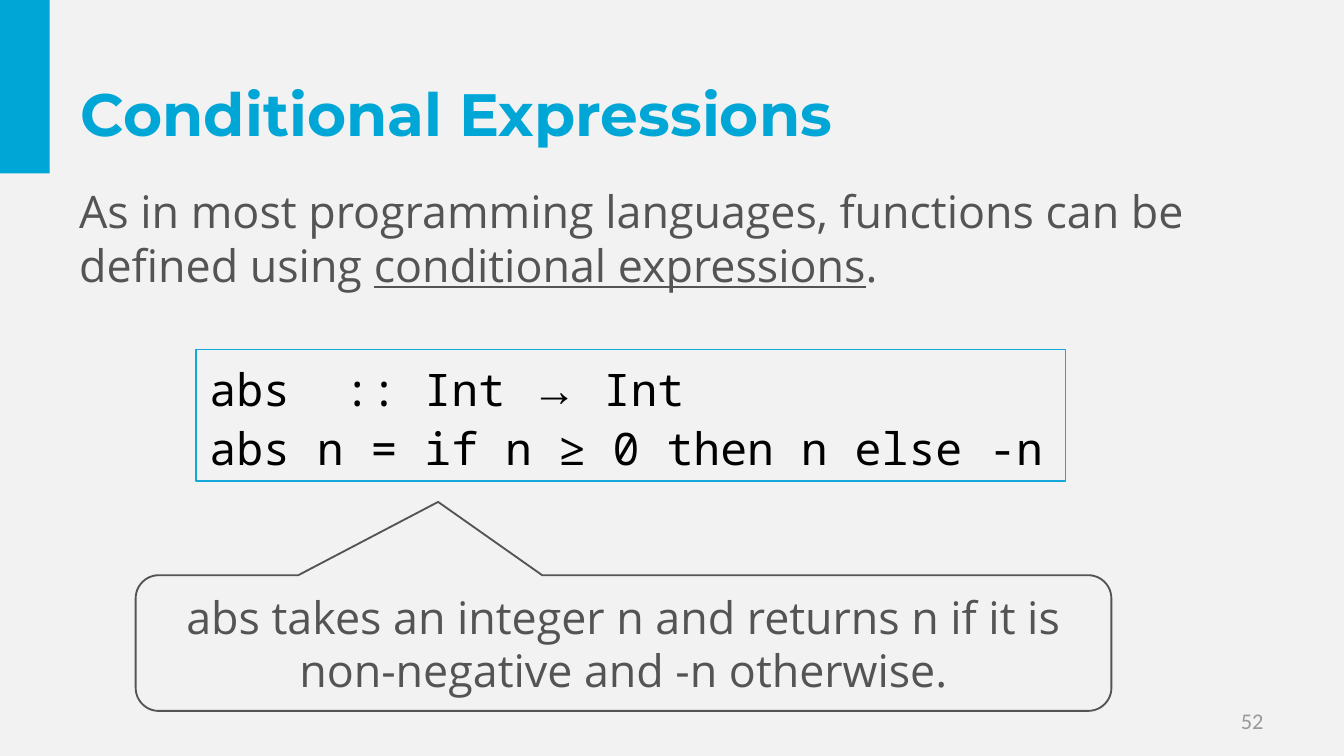
"""Build the Conditional Expressions slide."""
from pptx import Presentation
from pptx.dml.color import RGBColor
from pptx.enum.shapes import MSO_SHAPE
from pptx.enum.text import MSO_ANCHOR, PP_ALIGN
from pptx.util import Inches, Pt

RECTANGLE = MSO_SHAPE.RECTANGLE
CALLOUT = MSO_SHAPE.ROUNDED_RECTANGULAR_CALLOUT
MIDDLE = MSO_ANCHOR.MIDDLE
LEFT, CENTER, RIGHT = PP_ALIGN.LEFT, PP_ALIGN.CENTER, PP_ALIGN.RIGHT

COLORS = {"background": "F2F2F2", "accent": "00A6D6", "border": "15A8DB",
          "body": "545454", "code": "000000", "number": "999999"}
STYLES = {
    "title": ("Montserrat", 32, "accent", {"bold": True}),
    "body": ("Open Sans", 24, "body", {}),
    "term": ("Open Sans", 24, "body", {"underline": True}),
    "code": ("Noto Sans Mono", 24, "code", {}),
    "arrow": ("Times New Roman", 24, "code", {}),
    "number": ("Calibri", 12, "number", {}),
}

NUMBER = [[("52", "number")]]
TITLE = [[("Conditional Expressions", "title")]]
INTRO = [[("As in most programming languages, functions can be defined using ", "body"),
          ("conditional expressions", "term"), (".", "body")]]
CODE = [[("abs  :: Int ", "code"), ("→", "arrow"), (" Int", "code")],
        [("abs n = if n ≥ 0 then n else -n", "code")]]
EXPLANATION = [[("abs takes an integer n and returns n if it is "
                 "non-negative and -n otherwise.", "body")]]


def rgb(name):
    return RGBColor.from_string(COLORS[name])


def write(shape, paragraphs, align=LEFT, spacing=None, wrap=True):
    frame = shape.text_frame
    frame.word_wrap = wrap
    frame.vertical_anchor = MIDDLE
    for index, pieces in enumerate(paragraphs):
        paragraph = frame.add_paragraph() if index else frame.paragraphs[0]
        paragraph.alignment = align
        if spacing:
            paragraph.line_spacing = spacing
        for text, style in pieces:
            run = paragraph.add_run()
            run.text = text
            face, size, color, effects = STYLES[style]
            run.font.name = face
            run.font.size = Pt(size)
            run.font.color.rgb = rgb(color)
            for effect, value in effects.items():
                setattr(run.font, effect, value)


def add_text(box, paragraphs, align=LEFT):
    write(slide.shapes.add_textbox(*map(Inches, box)), paragraphs, align)


def add_panel(kind, box, fill=None, line=None, width=1):
    panel = slide.shapes.add_shape(kind, *map(Inches, box))
    panel.shadow.inherit = False
    if fill:
        panel.fill.solid()
        panel.fill.fore_color.rgb = rgb(fill)
    else:
        panel.fill.background()
    if line:
        panel.line.color.rgb = rgb(line)
        panel.line.width = Pt(width)
    else:
        panel.line.fill.background()
    return panel


deck = Presentation()
deck.slide_width = Inches(10)
deck.slide_height = Inches(10) * 9 // 16
slide = deck.slides.add_slide(deck.slide_layouts[6])
slide.background.fill.solid()
slide.background.fill.fore_color.rgb = rgb("background")

add_panel(RECTANGLE, (0, 0, 0.37, 1.29), fill="accent")
add_text((7.17, 5.21, 2.33, 0.3), NUMBER, RIGHT)
add_text((0.5, 0.23, 9, 1.22), TITLE)
add_text((0.49, 1.31, 8.85, 0.91), INTRO)

code_box = add_panel(RECTANGLE, (1.46, 2.6, 6.47, 0.98), line="border", width=0.75)
write(code_box, CODE, spacing=1.1, wrap=False)

callout = add_panel(CALLOUT, (1.01, 4.28, 7.26, 1.01), line="body")
for index, value in enumerate((-0.19, -1.04, 0.17)):
    callout.adjustments[index] = value
write(callout, EXPLANATION, CENTER)

deck.save("out.pptx")
